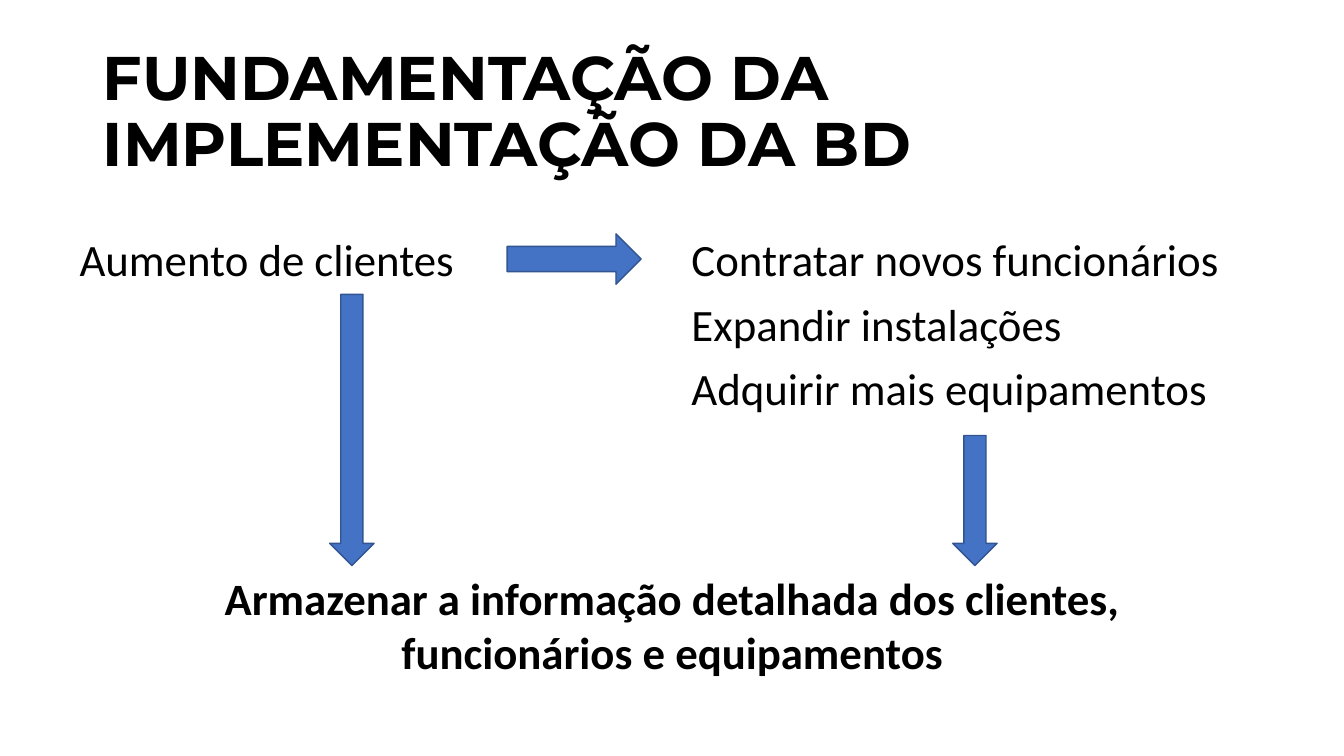
import pptx
import pptx.util
import pptx.dml.color
import pptx.enum.shapes
import pptx.enum.text

Inches = pptx.util.Inches
Pt = pptx.util.Pt
SHAPE = pptx.enum.shapes.MSO_SHAPE
ALIGN = pptx.enum.text.PP_ALIGN
ANCHOR = pptx.enum.text.MSO_ANCHOR
FIT = pptx.enum.text.MSO_AUTO_SIZE

ROW = 0.64      # height of one line of text
TOP = 2.25      # top of the first row
BASE = 5.61     # top of the conclusion, where the down arrows end


def color(code):
    return pptx.dml.color.RGBColor.from_string(code)


def write(para, text, size, face, bold=False):
    run = para.add_run()
    run.text = text
    font = run.font
    font.size, font.name, font.bold = Pt(size), face, bold
    font.color.rgb = color("000000")


def head(slide, text, x, y, w, h):
    title = slide.shapes.title
    title.left, title.top = Inches(x), Inches(y)
    title.width, title.height = Inches(w), Inches(h)
    frame = title.text_frame
    frame.word_wrap = True
    frame.vertical_anchor = ANCHOR.MIDDLE
    para = frame.paragraphs[0]
    para.alignment = ALIGN.LEFT
    para.line_spacing = 0.9
    write(para, text, 44, "Montserrat", True)


def label(slide, text, x, y, w, h=ROW, wrap=False, bold=False, align=ALIGN.LEFT):
    box = slide.shapes.add_textbox(Inches(x), Inches(y), Inches(w), Inches(h))
    frame = box.text_frame
    frame.word_wrap = wrap
    frame.auto_size = FIT.SHAPE_TO_FIT_TEXT
    para = frame.paragraphs[0]
    para.alignment = align
    write(para, text, 32, "Calibri", bold)


def arrow(slide, kind, x, y, w, h):
    shape = slide.shapes.add_shape(kind, Inches(x), Inches(y), Inches(w), Inches(h))
    shape.shadow.inherit = False
    shape.fill.solid()
    shape.fill.fore_color.rgb = color("4472C4")
    shape.line.color.rgb = color("325491")
    shape.line.width = Pt(1)


def needs(slide, x, y):
    # One row for each need
    rows = [
        ("Contratar novos funcionários", 5.49),
        ("Expandir instalações", 3.91),
        ("Adquirir mais equipamentos", 5.37),
    ]
    for i, (text, width) in enumerate(rows):
        label(slide, text, x, y + i * ROW, width)


def flow(slide):
    # Cause, needs and conclusion
    label(slide, "Aumento de clientes", 0.69, TOP, 3.95)
    needs(slide, 6.76, TOP)
    label(slide, "Armazenar a informação detalhada dos clientes, "
          "funcionários e equipamentos", 1.41, BASE, 10.52, 1.18,
          wrap=True, bold=True, align=ALIGN.CENTER)

    # Arrows: across to the needs, then down to the conclusion
    arrow(slide, SHAPE.RIGHT_ARROW, 5.03, 2.32, 1.33, 0.5)
    for x, y in [(9.45, 4.32), (3.27, 2.92)]:
        arrow(slide, SHAPE.DOWN_ARROW, x, y, 0.44, BASE - y)


def main():
    deck = pptx.Presentation()
    deck.slide_width, deck.slide_height = Inches(13.33), Inches(7.5)
    slide = deck.slides.add_slide(deck.slide_layouts[5])
    head(slide, "FUNDAMENTAÇÃO DA IMPLEMENTAÇÃO DA BD", 0.92, 0.4, 11.5, 1.45)
    flow(slide)
    deck.save("out.pptx")


if __name__ == "__main__":
    main()
